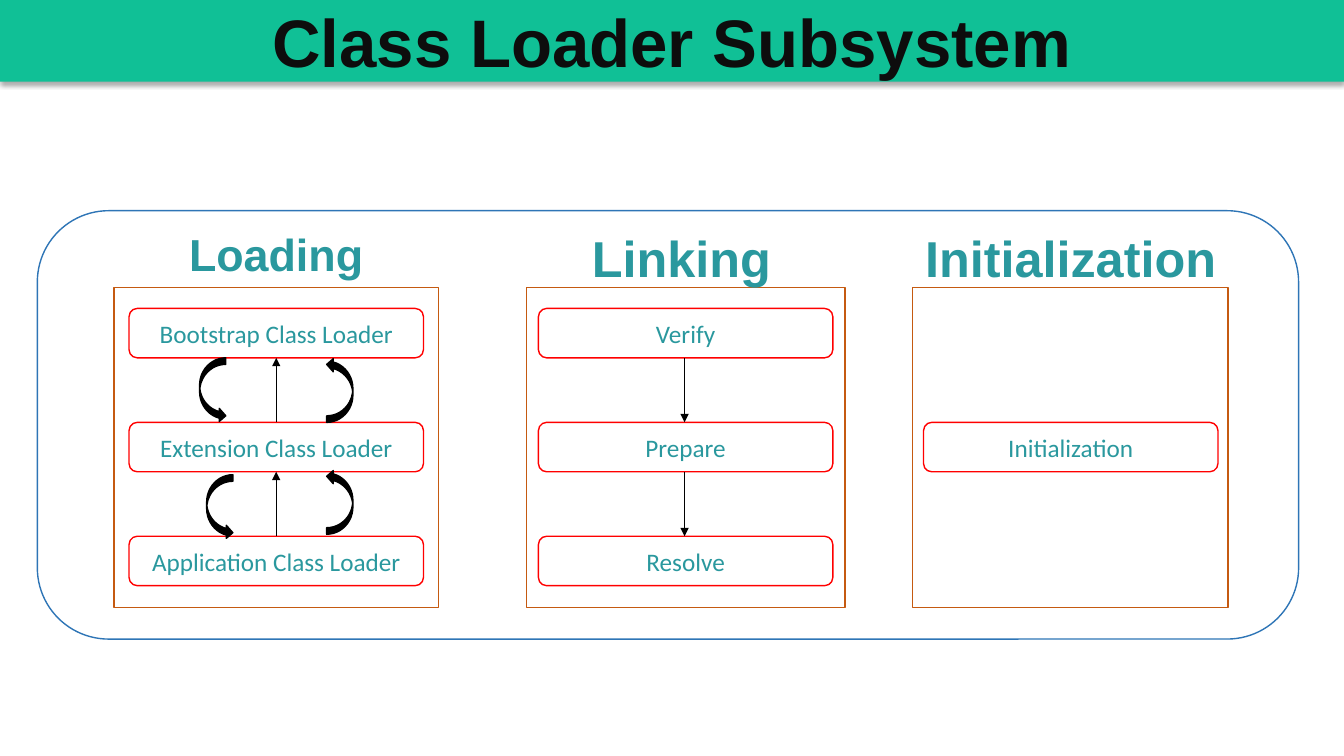
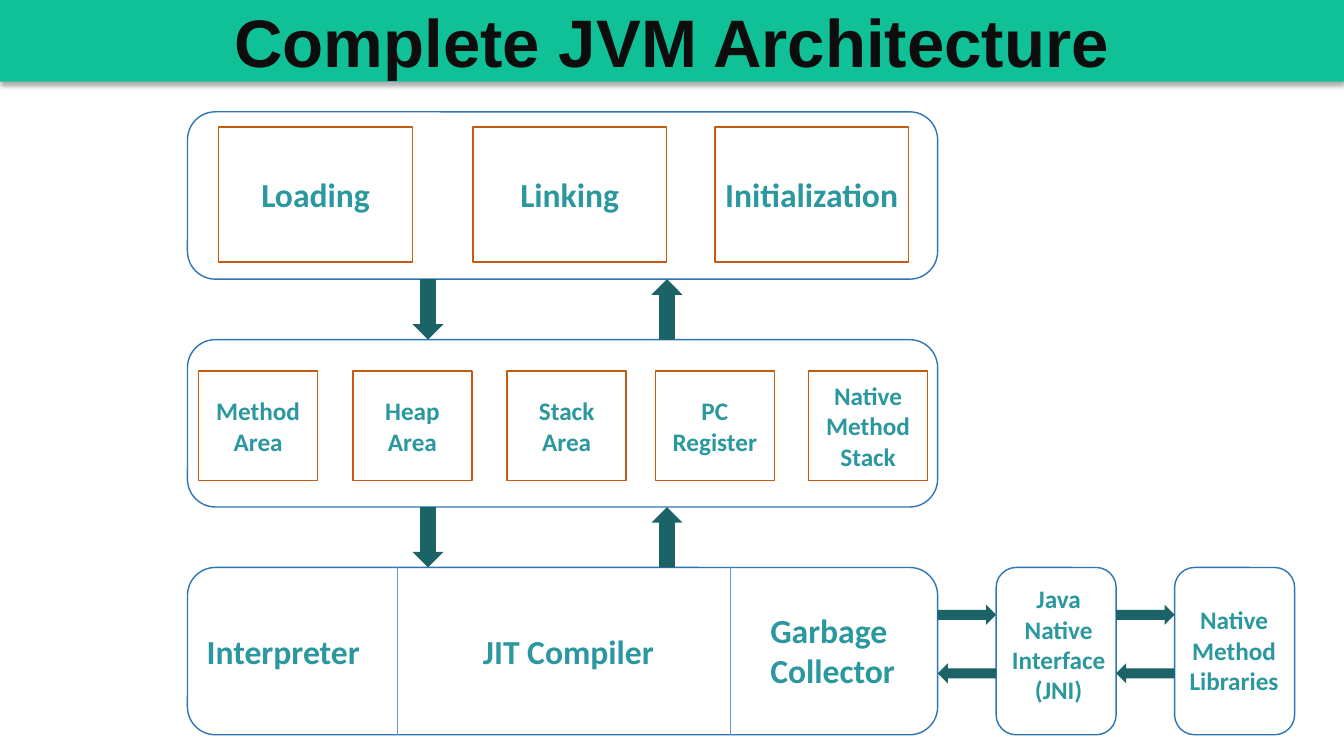
"""Build two slides on the class loader subsystem and the JVM architecture."""
import dataclasses
import typing

import lxml.etree
import pptx
import pptx.dml.color
import pptx.enum.shapes
import pptx.enum.text
import pptx.oxml.ns
import pptx.presentation
import pptx.shapes.autoshape
import pptx.slide
import pptx.util

Inches = pptx.util.Inches
Pt = pptx.util.Pt
qn = pptx.oxml.ns.qn
RGB = pptx.dml.color.RGBColor.from_string
SHAPE = pptx.enum.shapes.MSO_SHAPE
ALIGN = pptx.enum.text.PP_ALIGN
ANCHOR = pptx.enum.text.MSO_ANCHOR
Shape = pptx.shapes.autoshape.Shape
Slide = pptx.slide.Slide


@dataclasses.dataclass(frozen=True)
class Theme:
    band: str = "10C096"
    title: str = "0D0D0D"
    text: str = "2A989E"
    paper: str = "FFFFFF"
    panel: str = "2E75B6"
    phase: str = "C55A11"
    step: str = "FF0000"
    flow: str = "1B6367"
    divider: str = "5B9BD5"
    ink: str = "000000"
    head_font: str = "Arial"
    body_font: str = "Calibri"
    title_size: int = 48
    head_size: int = 36
    small_head_size: int = 32
    label_size: int = 24
    body_size: int = 18
    outline: float = 1
    hairline: float = 0.5
    inset: float = 0.08


T = Theme()


class Rect(typing.NamedTuple):
    x: float
    y: float
    w: float
    h: float


class Phase(typing.NamedTuple):
    name: str
    head: Rect
    head_size: int
    frame_x: float
    frame_w: float
    step_x: float
    steps: dict[int, str]


class Box(typing.NamedTuple):
    text: str
    x: float


class Label(typing.NamedTuple):
    text: str
    at: Rect
    size: int
    align: ALIGN
    wrap: bool


class Arrow(typing.NamedTuple):
    kind: SHAPE
    at: Rect
    rotation: float = 0


def set_text(s: Shape, text: str, *, size: float, font: str = T.body_font,
             color: str = T.text, bold: bool = False, align: ALIGN = ALIGN.CENTER,
             anchor: ANCHOR = ANCHOR.MIDDLE, wrap: bool = True) -> None:
    tf = s.text_frame
    tf.word_wrap = wrap
    tf.vertical_anchor = anchor
    tf.margin_left = tf.margin_right = Inches(T.inset)
    for i, line in enumerate(text.split("\n")):
        p = tf.paragraphs[0] if i == 0 else tf.add_paragraph()
        p.alignment = align
        r = p.add_run()
        r.text = line
        r.font.size = Pt(size)
        r.font.name = font
        r.font.bold = bold
        r.font.color.rgb = RGB(color)


def add_label(slide: Slide, at: Rect, text: str, **text_format: typing.Any) -> None:
    s = slide.shapes.add_textbox(*map(Inches, at))
    set_text(s, text, anchor=ANCHOR.TOP, **text_format)


def add_box(slide: Slide, kind: SHAPE, at: Rect, line: str | None,
            fill: str = T.paper) -> Shape:
    s = slide.shapes.add_shape(kind, *map(Inches, at))
    s.shadow.inherit = False
    s.fill.solid()
    s.fill.fore_color.rgb = RGB(fill)
    if line is None:
        s.line.fill.background()
    else:
        s.line.color.rgb = RGB(line)
        s.line.width = Pt(T.outline)
    return s


def add_arrow(slide: Slide, arrow: Arrow, fill: str, line: str | None = None) -> None:
    s = add_box(slide, arrow.kind, arrow.at, line, fill)
    s.rotation = arrow.rotation


def add_line(slide: Slide, x: float, y1: float, y2: float, color: str,
             arrowhead: bool = False) -> None:
    kind = pptx.enum.shapes.MSO_CONNECTOR.STRAIGHT
    c = slide.shapes.add_connector(kind, *map(Inches, (x, y1, x, y2)))
    c.line.color.rgb = RGB(color)
    c.line.width = Pt(T.hairline)
    properties = c._element.spPr
    if arrowhead:
        lxml.etree.SubElement(properties.find(qn("a:ln")), qn("a:tailEnd"), type="triangle")
    lxml.etree.SubElement(properties, qn("a:effectLst"))


def add_slide(prs: pptx.presentation.Presentation, title: str) -> Slide:
    slide = prs.slides.add_slide(prs.slide_layouts[5])
    s = slide.shapes.title
    s.left, s.top, s.width, s.height = map(Inches, (0, 0, 13.33, 0.81))
    s.fill.solid()
    s.fill.fore_color.rgb = RGB(T.band)
    s.shadow.inherit = False
    effects = s._element.spPr.find(qn("a:effectLst"))
    shadow = lxml.etree.SubElement(
        effects, qn("a:outerShdw"), blurRad=str(Pt(3.5)), dist=str(Pt(2.2)),
        dir="5400000", algn="ctr", rotWithShape="0")
    color = lxml.etree.SubElement(shadow, qn("a:srgbClr"), val=T.ink)
    lxml.etree.SubElement(color, qn("a:alpha"), val="32000")
    set_text(s, title, size=T.title_size, font=T.head_font, color=T.title, bold=True)
    s.text_frame.auto_size = pptx.enum.text.MSO_AUTO_SIZE.NONE
    return slide


def draw_class_loader(slide: Slide) -> None:
    step_y, step_pitch, step_w, step_h = 3.06, 1.13, 2.92, 0.49
    phases = [
        Phase("Loading", Rect(1.77, 2.2, 1.94, 0.64), T.small_head_size, 1.13, 3.22, 1.28,
              {0: "Bootstrap Class Loader", 1: "Extension Class Loader",
               2: "Application Class Loader"}),
        Phase("Linking", Rect(5.76, 2.2, 2, 0.71), T.head_size, 5.22, 3.16, 5.34,
              {0: "Verify", 1: "Prepare", 2: "Resolve"}),
        Phase("Initialization", Rect(9.06, 2.2, 3.12, 0.71), T.head_size, 9.05, 3.13, 9.16,
              {1: "Initialization"}),
    ]
    add_box(slide, SHAPE.ROUNDED_RECTANGLE, Rect(0.37, 2.09, 12.51, 4.25), T.panel)
    for phase in phases:
        add_box(slide, SHAPE.RECTANGLE, Rect(phase.frame_x, 2.85, phase.frame_w, 3.18), T.phase)
        add_label(slide, phase.head, phase.name, size=phase.head_size,
                  font=T.head_font, bold=True, wrap=False)
        for row, text in phase.steps.items():
            at = Rect(phase.step_x, step_y + row * step_pitch, step_w, step_h)
            s = add_box(slide, SHAPE.ROUNDED_RECTANGLE, at, T.step)
            set_text(s, text, size=T.body_size)

    for row in range(2):
        top = step_y + row * step_pitch + step_h
        bottom = step_y + (row + 1) * step_pitch
        add_line(slide, 2.74, bottom, top, T.ink, arrowhead=True)
        add_line(slide, 6.79, top, bottom, T.ink, arrowhead=True)

    for x, y, rotation in [(1.98, 3.55, 0), (2.05, 4.71, 0),
                           (3.24, 3.55, 180), (3.24, 4.66, 180)]:
        arrow = Arrow(SHAPE.CURVED_RIGHT_ARROW, Rect(x, y, 0.26, 0.64), rotation)
        add_arrow(slide, arrow, T.ink, T.ink)


def draw_architecture(slide: Slide) -> None:
    tier_x, tier_w, tier_h, gap = 1.86, 7.44, 1.66, 0.6
    tier_tops = [1.11 + i * (tier_h + gap) for i in range(3)]
    engine_y = tier_tops[-1]
    panels = [Rect(tier_x, y, tier_w, tier_h) for y in tier_tops]
    panels += [Rect(x, engine_y, 1.19, tier_h) for x in (9.88, 11.65)]
    for at in panels:
        add_box(slide, SHAPE.ROUNDED_RECTANGLE, at, T.panel)
    for x in (3.94, 7.24):
        add_line(slide, x, engine_y, engine_y + tier_h, T.divider)

    phases = [Box("Loading", 2.17), Box("Linking", 4.69), Box("Initialization", 7.09)]
    areas = [Box("Method Area", 1.97), Box("Heap Area", 3.5), Box("Stack Area", 5.03),
             Box("PC Register", 6.5), Box("Native Method Stack", 8.02)]
    for boxes, y, w, h, size in [(phases, 1.26, 1.92, 1.34, T.label_size),
                                 (areas, 3.68, 1.18, 1.09, T.body_size)]:
        for box in boxes:
            s = add_box(slide, SHAPE.RECTANGLE, Rect(box.x, y, w, h), T.phase)
            set_text(s, box.text, size=size, bold=True)

    labels = [
        Label("Interpreter", Rect(1.97, 6.21, 1.74, 0.5), T.label_size, ALIGN.LEFT, False),
        Label("JIT Compiler", Rect(4.71, 6.21, 1.91, 0.5), T.label_size, ALIGN.LEFT, False),
        Label("Garbage\nCollector", Rect(7.56, 6, 1.45, 0.91), T.label_size, ALIGN.LEFT, False),
        Label("Java Native Interface\n(JNI)", Rect(9.93, 5.74, 1.14, 1.31),
              T.body_size, ALIGN.CENTER, True),
        Label("Native Method Libraries", Rect(11.67, 5.95, 1.14, 1.01),
              T.body_size, ALIGN.CENTER, True),
    ]
    for label in labels:
        add_label(slide, label.at, label.text, size=label.size, bold=True,
                  align=label.align, wrap=label.wrap)

    arrows = [Arrow(SHAPE.DOWN_ARROW, Rect(x, y + tier_h, 0.31, gap), rotation)
              for y in tier_tops[:-1] for x, rotation in ((4.09, 0), (6.46, 180))]
    arrows += [Arrow(SHAPE.RIGHT_ARROW, Rect(x, y, 0.58, 0.2), rotation)
               for x in (9.3, 11.07) for y, rotation in ((6, 0), (6.58, 180))]
    for arrow in arrows:
        add_arrow(slide, arrow, T.flow)


def main() -> None:
    prs = pptx.Presentation()
    prs.slide_width, prs.slide_height = Inches(13.33), Inches(7.5)
    draw_class_loader(add_slide(prs, "Class Loader Subsystem"))
    draw_architecture(add_slide(prs, "Complete JVM Architecture"))
    prs.save("out.pptx")


main()
